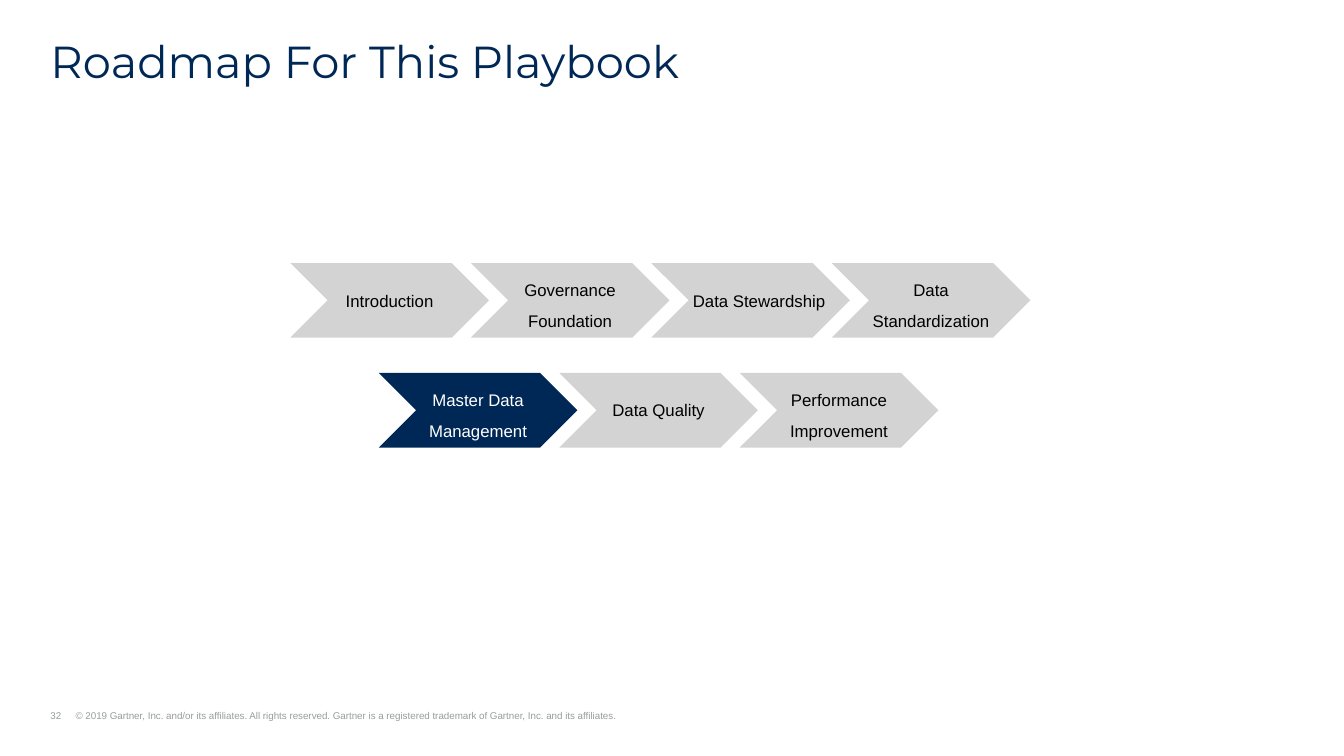
from pptx import Presentation
from pptx.dml.color import RGBColor as Rgb
from pptx.enum.shapes import MSO_SHAPE as Form
from pptx.enum.text import MSO_ANCHOR as Anchor, PP_ALIGN as Align
from pptx.oxml.xmlchemy import OxmlElement as Node
from pptx.util import Inches, Pt

COLORS = {"navy": "002856", "gray": "D3D3D3", "note": "979D9D",
          "black": "000000", "white": "FFFFFF"}
ACTIVE = "Master Data Management"
ROWS = [
    (0, ["Introduction", "Governance Foundation", "Data Stewardship",
         "Data Standardization"]),
    (0.49, [ACTIVE, "Data Quality", "Performance Improvement"]),
]
SPACING = {"Governance Foundation": Pt(22), "Data Standardization": 1.5,
           ACTIVE: 1.5, "Performance Improvement": 1.5}
SHIFT = {"Data Stewardship": 0.17}


class Deck:
    left, top = 2.88, 2.61
    col, row = 1.79, 1.09
    width, height = 1.97, 0.74

    def __init__(self):
        self.file = Presentation()
        self.file.slide_width = Inches(13.33)
        self.file.slide_height = Inches(7.5)
        self.slide = self.file.slides.add_slide(self.file.slide_layouts[6])

    def label(self, shape, text, size, font, color, inset=0, **style):
        frame = shape.text_frame
        look = {"word_wrap": True, "margin_left": Inches(inset),
                "margin_right": 0, "margin_top": 0, "margin_bottom": 0}
        para = frame.paragraphs[0]
        para.text = text
        for key, value in {**look, **style.pop("frame", {})}.items():
            setattr(frame, key, value)
        for key, value in style.items():
            setattr(para, key, value)
        for key, value in {"size": Pt(size), "name": font}.items():
            setattr(para.runs[0].font, key, value)
        para.runs[0].font.color.rgb = Rgb.from_string(COLORS[color])
        return para

    def box(self, x, y, w, h):
        wide, high = self.file.slide_width, self.file.slide_height
        return self.slide.shapes.add_textbox(
            int(x * wide), int(y * high), int(w * wide), int(h * high))

    def title(self, text):
        self.label(self.box(0.0375, 0.0533, 0.925, 0.064), text, 32,
                   "Montserrat", "navy", line_spacing=0.9)

    def footer(self, page, text):
        para = self.label(self.box(0.0375, 0.9387, 0.6, 0.016),
                          f"{page}\t{text}", 7, "Arial", "note",
                          frame={"vertical_anchor": Anchor.BOTTOM})
        props = para._p.get_or_add_pPr()
        hang = Inches(0.25)
        props.set("marL", str(hang))
        props.set("indent", str(-hang))
        tabs, tab = Node("a:tabLst"), Node("a:tab")
        tab.set("pos", str(hang))
        tab.set("algn", "l")
        tabs.append(tab)
        props.append(tabs)

    def arrow(self, group, col, row, text):
        shape = group.shapes.add_shape(
            Form.CHEVRON, Inches(self.left + col * self.col),
            Inches(self.top + row * self.row),
            Inches(self.width), Inches(self.height))
        live = text == ACTIVE
        shape.shadow.inherit = False
        shape.fill.solid()
        shape.fill.fore_color.rgb = Rgb.from_string(
            COLORS["navy" if live else "gray"])
        shape.line.fill.background()
        self.label(shape, text, 12, "Arial", "white" if live else "black",
                   SHIFT.get(text, 0), alignment=Align.CENTER,
                   line_spacing=SPACING.get(text, 1.0),
                   frame={"vertical_anchor": Anchor.MIDDLE,
                          "word_wrap": text not in SHIFT})

    def chain(self, row, start, names):
        group = self.slide.shapes.add_group_shape()
        for col, name in enumerate(names):
            self.arrow(group, start + col, row, name)


def main():
    deck = Deck()
    deck.footer(32, "© 2019 Gartner, Inc. and/or its affiliates. All rights "
                "reserved. Gartner is a registered trademark of Gartner, Inc. "
                "and its affiliates.")
    deck.title("Roadmap For This Playbook")
    for row, (start, names) in enumerate(ROWS):
        deck.chain(row, start, names)
    deck.file.save("out.pptx")


if __name__ == "__main__":
    main()
